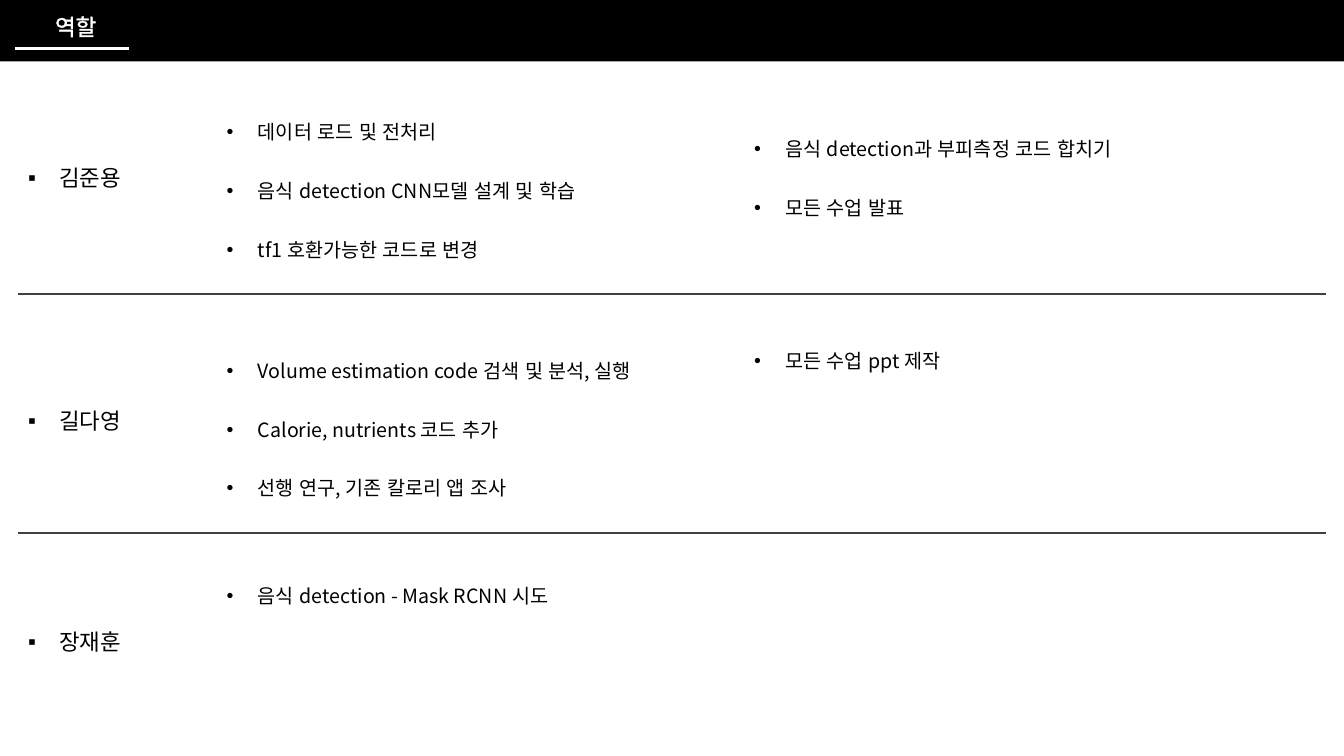
from lxml.etree import SubElement
from pptx import Presentation
from pptx.dml.color import RGBColor
from pptx.enum.shapes import MSO_CONNECTOR, MSO_SHAPE
from pptx.enum.text import MSO_AUTO_SIZE as AutoSize, PP_ALIGN as Align
from pptx.oxml import parse_xml
from pptx.oxml.ns import nsdecls, qn
from pptx.util import Inches, Pt

FONT = "Noto Sans CJK KR"
COLORS = {"black": "000000", "white": "FFFFFF", "rule": "404040"}
INDENT = Inches(0.31)
NAME_LEFT, TASK_LEFT, EXTRA_LEFT = 0.18, 2.15, 7.38

# name, name top, task boxes as (left, top, width, height, tasks)
MEMBERS = [
    ("김준용", 1.45, [
        (TASK_LEFT, 0.79, 4.18, 1.76, ["데이터 로드 및 전처리",
                                       "음식 detection CNN모델 설계 및 학습",
                                       "tf1 호환가능한 코드로 변경"]),
        (EXTRA_LEFT, 0.96, 5.31, 1.17, ["음식 detection과 부피측정 코드 합치기",
                                        "모든 수업 발표"]),
    ]),
    ("길다영", 3.86, [
        (TASK_LEFT, 3.16, 4.65, 1.76, ["Volume estimation code 검색 및 분석, 실행",
                                       "Calorie, nutrients 코드 추가",
                                       "선행 연구, 기존 칼로리 앱 조사"]),
        (EXTRA_LEFT, 3.06, 4.18, 0.58, ["모든 수업 ppt 제작"]),
    ]),
    ("장재훈", 6.05, [
        (TASK_LEFT, 5.39, 4.18, 0.58, ["음식 detection - Mask RCNN 시도"]),
    ]),
]


def rgb(color):
    return RGBColor.from_string(COLORS[color])


def add_bullet(paragraph, mark):
    properties = paragraph._p.get_or_add_pPr()
    properties.set("marL", str(INDENT))
    properties.set("indent", str(-INDENT))
    SubElement(properties, qn("a:buFont"), typeface="Arial")
    SubElement(properties, qn("a:buChar"), char=mark)


def write_run(paragraph, text, size, color, outline):
    run = paragraph.add_run()
    run.text = text
    run.font.size = Pt(size)
    run.font.name = FONT
    run.font.color.rgb = rgb(color)
    properties = run._r.get_or_add_rPr()
    properties.set("lang", "ko-KR")
    properties.insert(0, parse_xml(
        f'<a:ln {nsdecls("a")} w="{Pt(outline)}"><a:solidFill>'
        f'<a:srgbClr val="{COLORS[color]}"/></a:solidFill></a:ln>'))
    properties.find(qn("a:latin")).addnext(
        parse_xml(f'<a:ea {nsdecls("a")} typeface="{FONT}"/>'))


class RoleSlide:
    def __init__(self, slide):
        self.shapes = slide.shapes

    def bar(self, left, top, width, height, color):
        bar = self.shapes.add_shape(MSO_SHAPE.RECTANGLE, Inches(left), Inches(top),
                                    Inches(width), Inches(height))
        bar.shadow.inherit = False
        bar.fill.solid()
        bar.fill.fore_color.rgb = rgb(color)
        bar.line.fill.background()

    def rule(self, left, right, y, color, weight):
        rule = self.shapes.add_connector(MSO_CONNECTOR.STRAIGHT, Inches(left), Inches(y),
                                         Inches(right), Inches(y))
        rule.line.color.rgb = rgb(color)
        rule.line.width = Pt(weight)
        SubElement(rule._element.spPr, qn("a:effectLst"))

    def text(self, lines, left, top, width, height, *, size, outline, color="black",
             spacing=None, mark=None, align=None):
        box = self.shapes.add_textbox(Inches(left), Inches(top), Inches(width), Inches(height))
        frame = box.text_frame
        frame.word_wrap = True
        frame.auto_size = AutoSize.SHAPE_TO_FIT_TEXT
        for index, line in enumerate(lines):
            paragraph = frame.add_paragraph() if index else frame.paragraphs[0]
            if mark:
                add_bullet(paragraph, mark)
            paragraph.alignment = align
            paragraph.line_spacing = spacing
            write_run(paragraph, line, size, color, outline)


def main():
    deck = Presentation()
    deck.slide_width, deck.slide_height = Inches(13.33), Inches(7.5)
    roles = RoleSlide(deck.slides.add_slide(deck.slide_layouts[6]))

    roles.bar(0, 0, 13.33, 0.61, "black")
    roles.rule(0.15, 1.28, 0.48, "white", 2.25)
    roles.text(["역할"], 0.05, 0.08, 1.4, 0.37, size=16, outline=1, color="white",
               align=Align.CENTER)
    for divider in (2.92, 5.29):
        roles.rule(0.18, 13.15, divider, "rule", 1.5)
    for name, name_top, task_boxes in MEMBERS:
        roles.text([name], NAME_LEFT, name_top, 1.73, 0.45, size=16, outline=0.75,
                   spacing=1.5, mark="▪")
        for left, top, width, height, tasks in task_boxes:
            roles.text(tasks, left, top, width, height, size=14, outline=0.5,
                       spacing=2.5, mark="•")
    deck.save("out.pptx")


if __name__ == "__main__":
    main()
